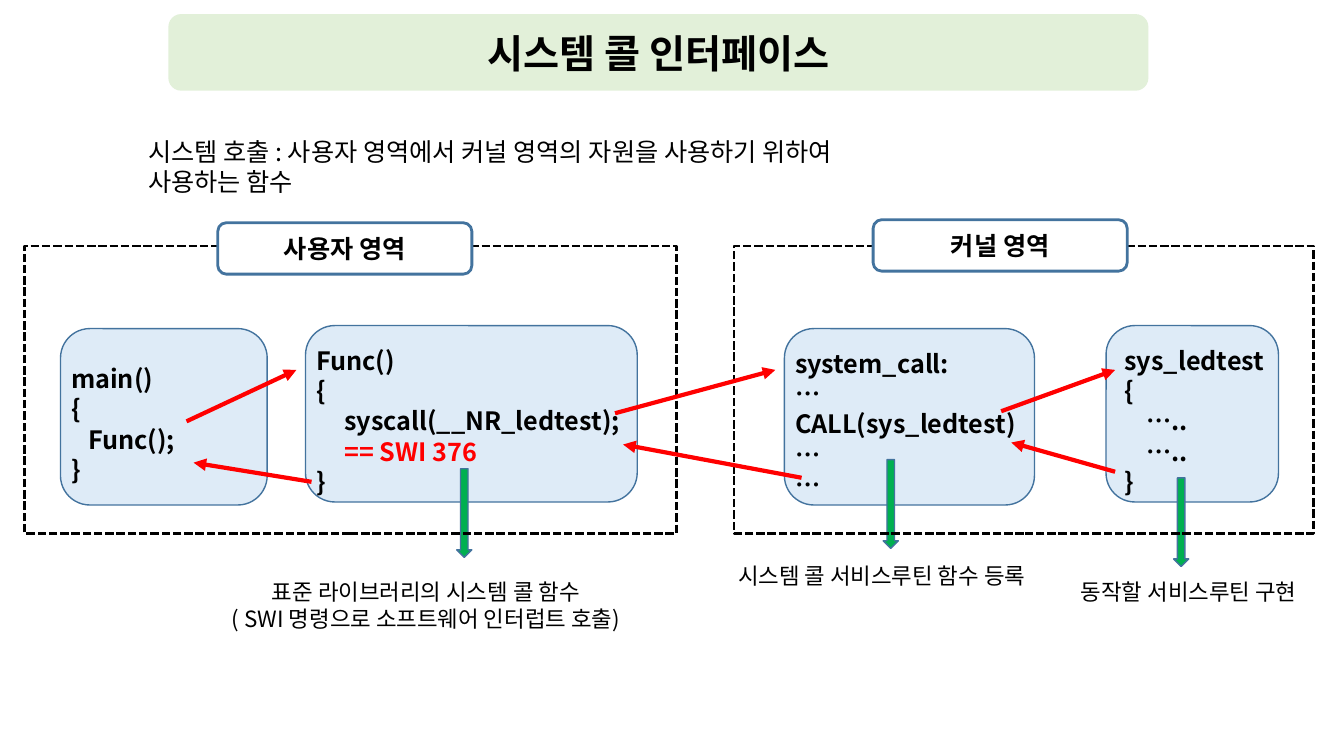
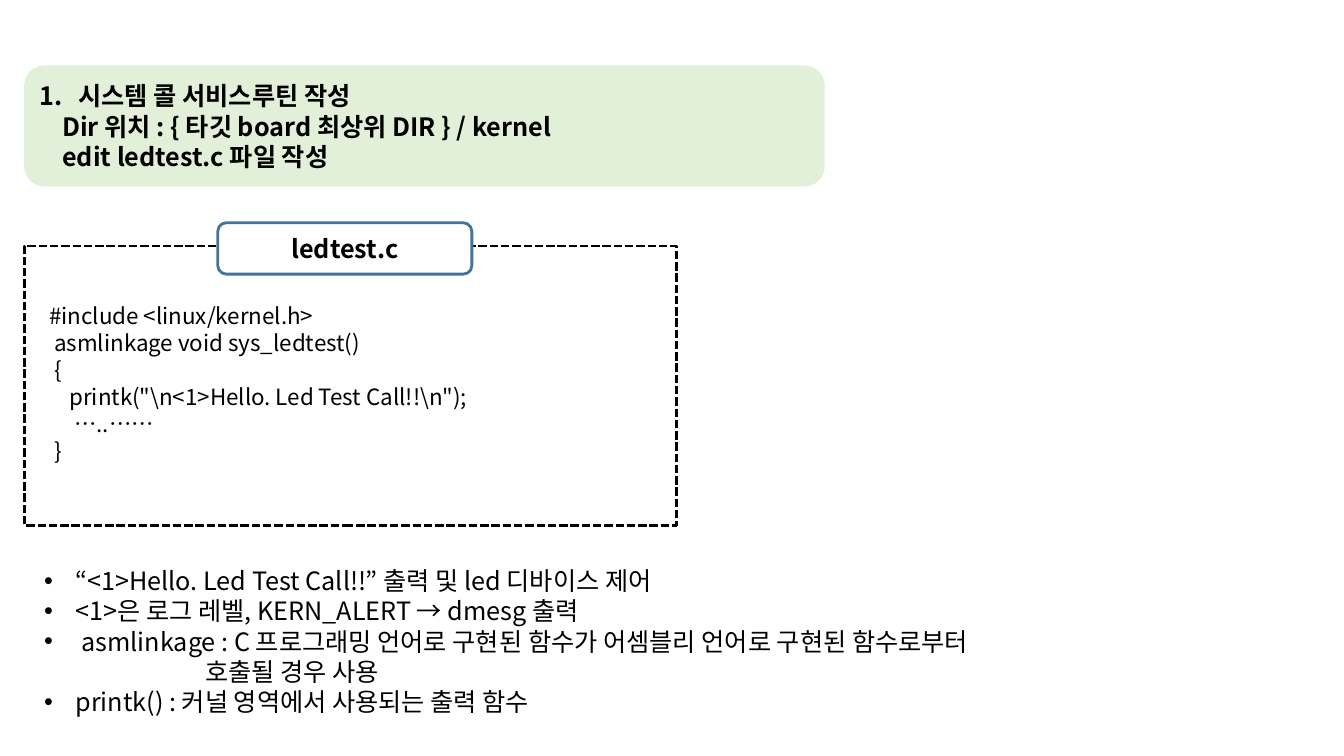
from dataclasses import dataclass

from pptx import Presentation
from pptx.dml.color import RGBColor
from pptx.enum.dml import MSO_LINE
from pptx.enum.shapes import MSO_CONNECTOR, MSO_SHAPE
from pptx.enum.text import MSO_ANCHOR, PP_ALIGN
from pptx.oxml.ns import qn
from pptx.util import Inches, Pt
from lxml.etree import SubElement


@dataclass(frozen=True)
class Theme:
    font: str = "Noto Sans CJK KR"
    black: str = "000000"
    white: str = "FFFFFF"
    red: str = "FF0000"
    band: str = "E2F0D9"
    card: str = "DEEBF7"
    edge: str = "43739E"
    arrow: str = "00B050"
    title: int = 28
    body: int = 18
    small: int = 16


@dataclass(frozen=True)
class Line:
    """One paragraph: left indent in inches, and a bullet that hangs in it."""
    text: str
    indent: float = 0
    bullet: str = ""
    color: str = ""


THEME = Theme()
USER_FRAME = (0.24, 2.44, 6.47)
USER_TAB = (2.16, 2.21)


def rgb(code):
    return RGBColor.from_string(code)


def set_bullet(para, line):
    props = para._p.get_or_add_pPr()
    props.set("marL", str(Inches(line.indent)))
    if line.bullet == "1.":
        props.set("indent", str(-Inches(line.indent)))
        SubElement(props, qn("a:buFont"), typeface="+mj-lt")
        SubElement(props, qn("a:buAutoNum"), type="arabicPeriod")
    elif line.bullet:
        props.set("indent", str(-Inches(line.indent)))
        SubElement(props, qn("a:buFont"), typeface="Arial")
        SubElement(props, qn("a:buChar"), char=line.bullet)


def write(shape, lines, size=THEME.body, bold=False, align=PP_ALIGN.LEFT):
    frame = shape.text_frame
    frame.word_wrap = True
    frame.text = "\n".join(line.text for line in lines)
    for para, line in zip(frame.paragraphs, lines):
        para.alignment = align
        if line.indent:
            set_bullet(para, line)
        for run in para.runs:
            font = run.font
            font.name, font.size, font.bold = THEME.font, Pt(size), bold
            font.color.rgb = rgb(line.color or THEME.black)
            SubElement(run._r.get_or_add_rPr(), qn("a:ea"), typeface=THEME.font)


def add_text(slide, box, lines, **style):
    shape = slide.shapes.add_textbox(*map(Inches, box))
    write(shape, lines, **style)


def add_box(slide, kind, box, fill=None, edge=None, width=1):
    shape = slide.shapes.add_shape(kind, *map(Inches, box))
    shape.shadow.inherit = False
    if fill:
        shape.fill.solid()
        shape.fill.fore_color.rgb = rgb(fill)
    else:
        shape.fill.background()
    if edge:
        shape.line.color.rgb = rgb(edge)
        shape.line.width = Pt(width)
    else:
        shape.line.fill.background()
    shape.text_frame.vertical_anchor = MSO_ANCHOR.MIDDLE
    return shape


def add_band(slide, box, lines, **style):
    band = add_box(slide, MSO_SHAPE.ROUNDED_RECTANGLE, box, THEME.band)
    write(band, lines, bold=True, **style)


def add_frame(slide, place, height, tab, label):
    """Dashed region with a name tab on its top edge."""
    frame = add_box(slide, MSO_SHAPE.RECTANGLE, (*place, height),
                    edge=THEME.black, width=2)
    frame.line.dash_style = MSO_LINE.SQUARE_DOT
    name = add_box(slide, MSO_SHAPE.ROUNDED_RECTANGLE, (*tab, 2.52, 0.51),
                   THEME.white, THEME.edge, 2)
    write(name, [Line(label)], bold=True, align=PP_ALIGN.CENTER)


def add_card(slide, left, top, width, lines, pad=0.02):
    card = add_box(slide, MSO_SHAPE.ROUNDED_RECTANGLE,
                   (left, top, width, 1.75), THEME.card, THEME.edge)
    write(card, lines, bold=True)
    frame = card.text_frame
    frame.margin_left, frame.margin_right = Inches(pad), 0
    frame.margin_top, frame.margin_bottom = Inches(0.14), 0


def add_note(slide, arrow, box, lines):
    """Green down arrow and the caption below it."""
    add_box(slide, MSO_SHAPE.DOWN_ARROW, (*arrow, 0.15, 0.88),
            THEME.arrow, THEME.edge)
    add_text(slide, box, lines, size=THEME.small, align=PP_ALIGN.CENTER)


def add_call(slide, start, end):
    call = slide.shapes.add_connector(
        MSO_CONNECTOR.STRAIGHT, *map(Inches, (*start, *end)))
    call.line.color.rgb = rgb(THEME.red)
    call.line.width = Pt(3)
    SubElement(call.line._get_or_add_ln(), qn("a:tailEnd"), type="triangle")
    SubElement(call._element.spPr, qn("a:effectLst"))


def build_flow(slide):
    add_band(slide, (1.67, 0.14, 9.72, 0.76), [Line("시스템 콜 인터페이스")],
             size=THEME.title, align=PP_ALIGN.CENTER)
    add_text(slide, (1.37, 1.3, 7.79, 0.71), [Line(
        "시스템 호출 : 사용자 영역에서 커널 영역의 자원을 사용하기 위하여 사용하는 함수")])
    cards = [
        (0.6, 3.26, 2.05, [Line("main()"), Line("{"),
                           Line("Func();", 0.17), Line("}")]),
        (3.03, 3.23, 3.29, [Line("Func()"), Line("{"),
                            Line("syscall(__NR_ledtest);", 0.28),
                            Line("== SWI 376", 0.28, color=THEME.red),
                            Line("}")]),
        (7.78, 3.26, 2.48, [Line("system_call:"), Line("…"),
                            Line("CALL(sys_ledtest)"), Line("…"), Line("…")]),
        (10.97, 3.23, 1.71, [Line("sys_ledtest"), Line("{"),
                             Line("…..", 0.22), Line("…..", 0.22),
                             Line("}")], 0.1),
    ]
    for card in cards:
        add_card(slide, *card)
    notes = [
        ((4.53, 4.65), (2.01, 5.69, 4.43, 0.64),
         [Line("표준 라이브러리의 시스템 콜 함수"),
          Line("( SWI 명령으로 소프트웨어 인터럽트 호출)")]),
        ((8.76, 4.56), (7.03, 5.53, 3.43, 0.37),
         [Line("시스템 콜 서비스루틴 함수 등록")]),
        ((11.64, 4.74), (10.17, 5.69, 3.24, 0.37),
         [Line("동작할 서비스루틴 구현")]),
    ]
    for note in notes:
        add_note(slide, *note)
    add_frame(slide, USER_FRAME, 2.85, USER_TAB, "사용자 영역")
    add_frame(slide, (7.28, 2.44, 5.75), 2.85, (8.66, 2.18), "커널 영역")
    calls = [
        ((1.85, 4.18), (2.94, 3.67)),
        ((6.1, 4.1), (7.69, 3.67)),
        ((9.93, 4.08), (11.06, 3.67)),
        ((11.06, 4.68), (10.03, 4.39)),
        ((7.95, 4.74), (6.18, 4.41)),
        ((3.09, 4.78), (1.92, 4.59)),
    ]
    for start, end in calls:
        add_call(slide, start, end)


def build_source(slide):
    add_band(slide, (0.24, 0.65, 7.94, 1.2), [
        Line("시스템 콜 서비스루틴 작성", 0.38, "1."),
        Line("Dir 위치 : { 타깃 board 최상위 DIR } / kernel", 0.22),
        Line("edit ledtest.c 파일 작성", 0.22)])
    add_frame(slide, USER_FRAME, 2.77, USER_TAB, "ledtest.c")
    add_text(slide, (0.34, 2.95, 6.37, 1.72), [
        Line("#include <linux/kernel.h>", 0.05),
        Line("asmlinkage void sys_ledtest()", 0.1),
        Line("{", 0.1),
        Line(r'printk("\n<1>Hello. Led Test Call!!\n");', 0.25),
        Line("…..……", 0.3),
        Line("}", 0.1)], size=THEME.small)
    add_text(slide, (0.34, 5.56, 10.82, 1.62), [
        Line("“<1>Hello. Led Test Call!!” 출력 및 led 디바이스 제어", 0.31, "•"),
        Line("<1>은 로그 레벨, KERN_ALERT → dmesg 출력", 0.31, "•"),
        Line("asmlinkage : C 프로그래밍 언어로 구현된 함수가 어셈블리 언어로 "
             "구현된 함수로부터", 0.37, "•"),
        Line("호출될 경우 사용", 1.6),
        Line("printk() : 커널 영역에서 사용되는 출력 함수", 0.31, "•")])


def main():
    deck = Presentation()
    deck.slide_width, deck.slide_height = Inches(13.33), Inches(7.5)
    for build in (build_flow, build_source):
        build(deck.slides.add_slide(deck.slide_layouts[6]))
    deck.save("out.pptx")


if __name__ == "__main__":
    main()
